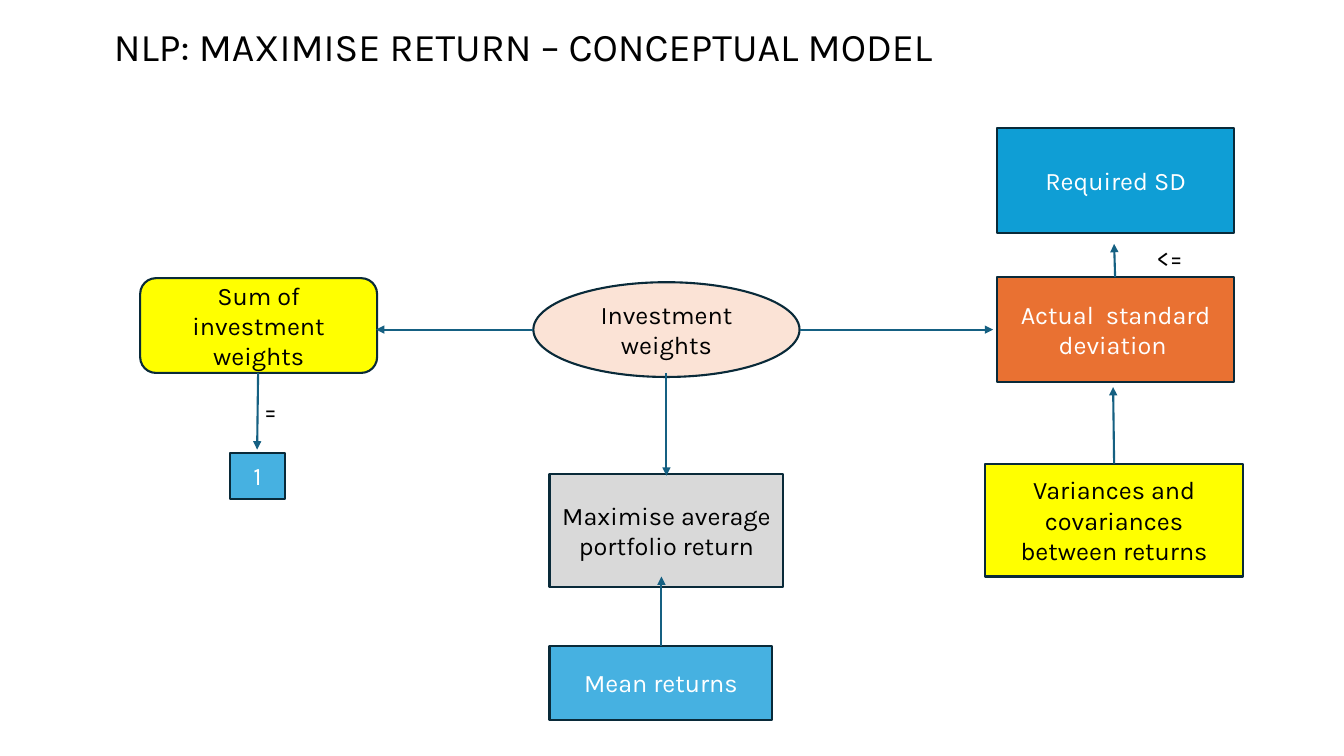
from lxml import etree
from pptx import Presentation
from pptx.dml.color import RGBColor
from pptx.enum.shapes import MSO_CONNECTOR, MSO_SHAPE
from pptx.enum.text import MSO_ANCHOR, PP_ALIGN
from pptx.oxml.ns import qn
from pptx.util import Inches, Pt

RECT, ROUNDED, OVAL = MSO_SHAPE.RECTANGLE, MSO_SHAPE.ROUNDED_RECTANGLE, MSO_SHAPE.OVAL
STRAIGHT = MSO_CONNECTOR.STRAIGHT
MIDDLE, TOP = MSO_ANCHOR.MIDDLE, MSO_ANCHOR.TOP
LEFT, CENTER = PP_ALIGN.LEFT, PP_ALIGN.CENTER

FONT = "Karla"
COLORS = {
    "black": "000000", "white": "FFFFFF", "outline": "092A39", "arrow": "156082",
    "yellow": "FFFF00", "peach": "FBE3D6", "sky": "46B1E1", "grey": "D9D9D9",
    "orange": "E97132", "blue": "0F9ED5",
}

TITLE = ("NLP: MAXIMISE RETURN – CONCEPTUAL MODEL", (1.03, 0.1, 8.52, 0.76))

# text, shape, fill, text colour, (left, top, width, height)
NODES = [
    ("Sum of investment weights", ROUNDED, "yellow", "black", (1.39, 2.76, 2.35, 0.94)),
    ("Investment weights", OVAL, "peach", "black", (5.29, 2.8, 2.64, 0.94)),
    ("Mean returns", RECT, "sky", "white", (5.45, 6.41, 2.21, 0.73)),
    ("Maximise average portfolio return", RECT, "grey", "black", (5.45, 4.7, 2.32, 1.12)),
    ("Actual  standard deviation ", RECT, "orange", "white", (9.89, 2.75, 2.35, 1.04)),
    ("Variances and covariances between returns", RECT, "yellow", "black",
     (9.77, 4.6, 2.56, 1.12)),
    ("1", RECT, "sky", "white", (2.28, 4.49, 0.55, 0.46)),
    ("Required SD", RECT, "blue", "white", (9.89, 1.27, 2.35, 1.04)),
]

# start x, start y, end x, end y
ARROWS = [
    (5.29, 3.27, 3.73, 3.27),    # weights to their sum
    (7.93, 3.27, 9.85, 3.27),    # weights to actual deviation
    (6.61, 3.7, 6.61, 4.72),     # weights to portfolio return
    (11.05, 4.6, 11.04, 3.84),   # variances to actual deviation
    (2.56, 3.7, 2.55, 4.46),     # sum to 1
    (6.56, 6.41, 6.56, 5.72),    # mean returns to portfolio return
    (11.06, 2.75, 11.05, 2.42),  # actual to required deviation
]

RELATIONS = [("=", (2.52, 3.87, 0.24, 0.4)), ("<=", (11.37, 2.36, 0.55, 0.4))]


def write(s, text, color="black", size=18, align=LEFT, anchor=TOP, wrap=True):
    tf = s.text_frame
    tf.text = text
    tf.word_wrap = wrap
    tf.vertical_anchor = anchor
    p = tf.paragraphs[0]
    p.alignment = align
    font = p.runs[0].font
    font.name, font.size = FONT, Pt(size)
    font.color.rgb = RGBColor.from_string(COLORS[color])
    return p


def set_line(s, color):
    s.line.color.rgb = RGBColor.from_string(COLORS[color])
    s.line.width = Pt(1.5)


def add_node(slide, text, kind, fill, color, box):
    s = slide.shapes.add_shape(kind, *map(Inches, box))
    s.shadow.inherit = False
    s.fill.solid()
    s.fill.fore_color.rgb = RGBColor.from_string(COLORS[fill])
    set_line(s, "outline")
    write(s, text, color, align=CENTER, anchor=MIDDLE)


def add_arrow(slide, ends):
    s = slide.shapes.add_connector(STRAIGHT, *map(Inches, ends))
    set_line(s, "arrow")
    etree.SubElement(s.line._get_or_add_ln(), qn("a:tailEnd"), type="triangle")
    etree.SubElement(s._element.spPr, qn("a:effectLst"))


def main():
    prs = Presentation()
    prs.slide_width, prs.slide_height = Inches(13.33), Inches(7.5)
    slide = prs.slides.add_slide(prs.slide_layouts[6])

    # Title
    text, box = TITLE
    title = slide.shapes.add_textbox(*map(Inches, box))
    write(title, text, size=28, anchor=MIDDLE).line_spacing = 0.9

    # Model parts and the arrows between them
    for node in NODES:
        add_node(slide, *node)
    for ends in ARROWS:
        add_arrow(slide, ends)

    # Relation signs beside the arrows
    for text, box in RELATIONS:
        write(slide.shapes.add_textbox(*map(Inches, box)), text, wrap=False)

    prs.save("out.pptx")


if __name__ == "__main__":
    main()
